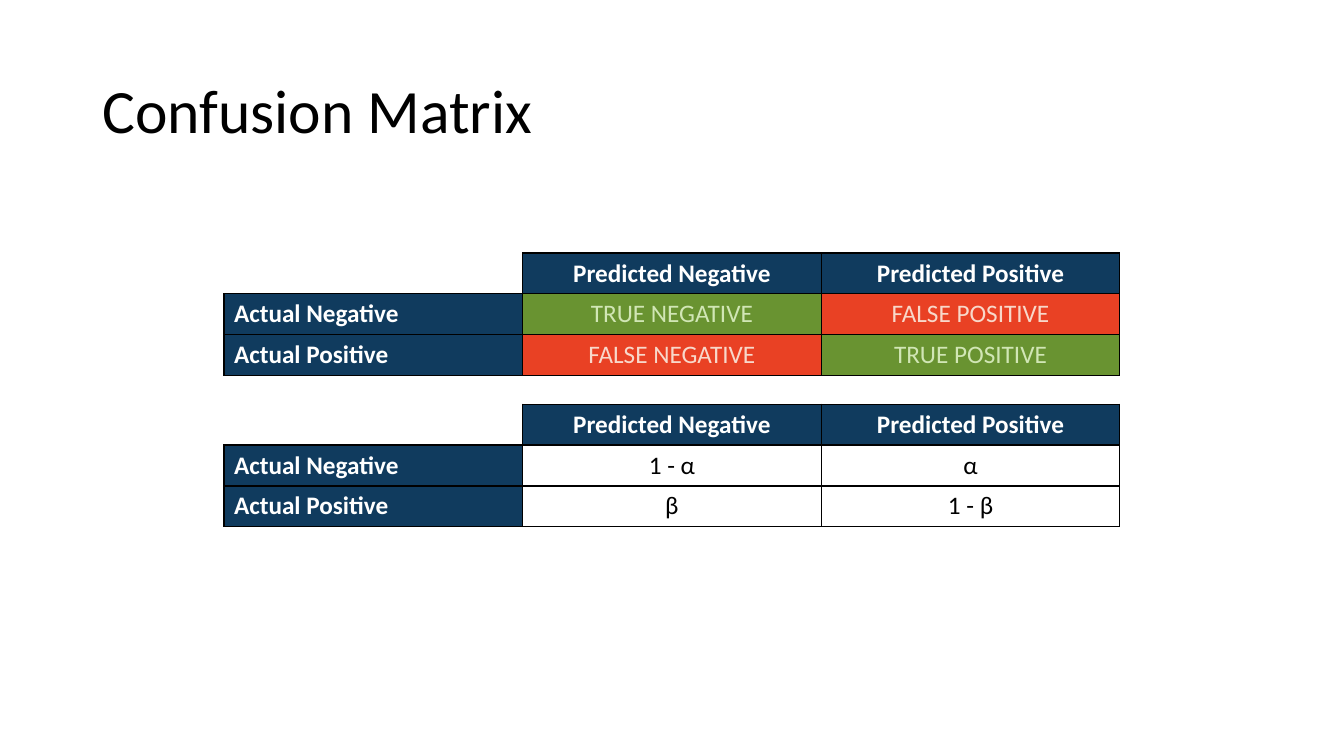
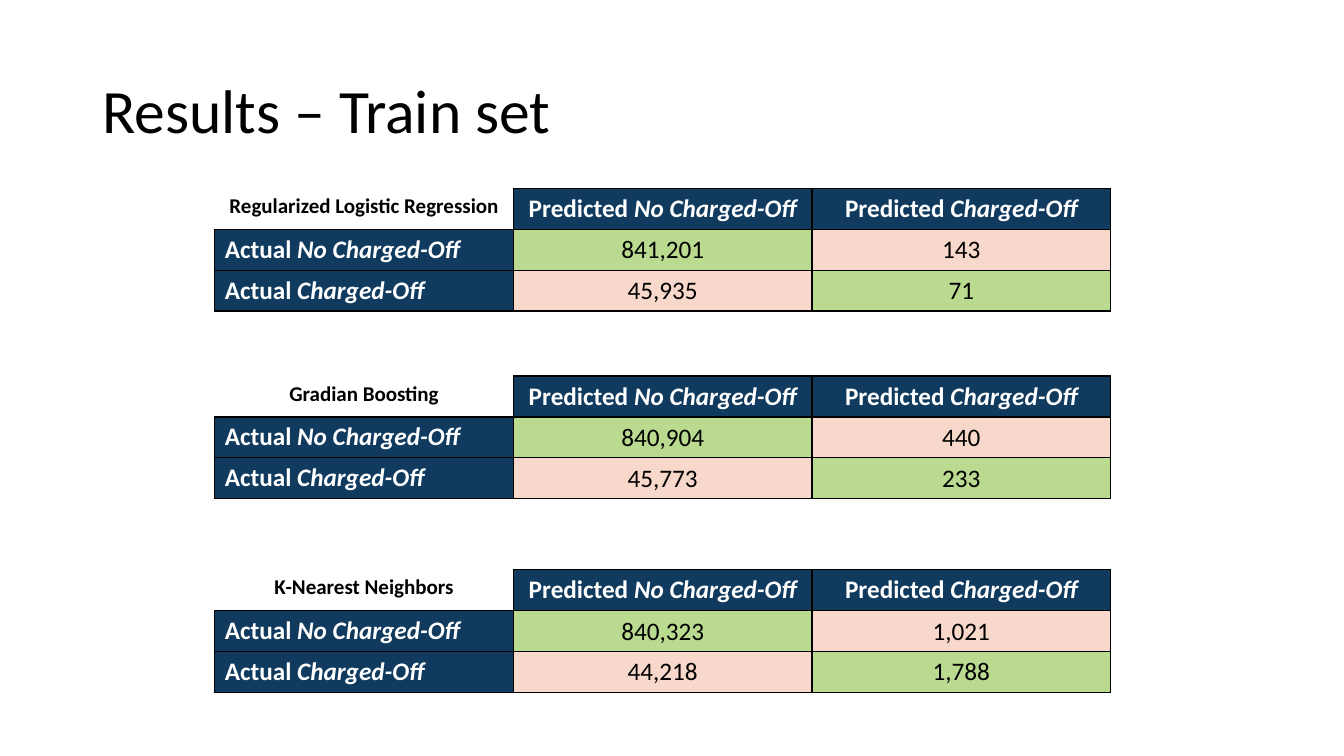
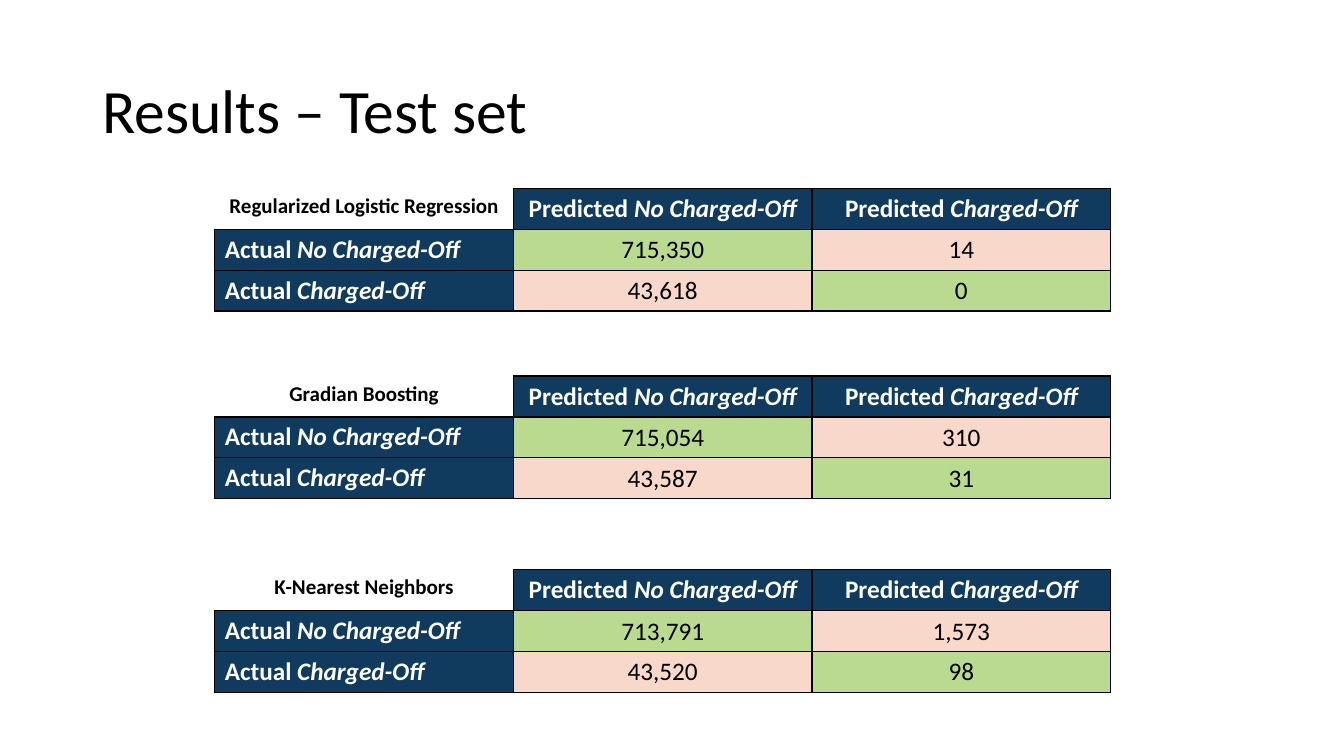
"""Build three slides of confusion matrices with python-pptx."""
import lxml.etree
import pptx
import pptx.dml.color
import pptx.enum.text
import pptx.oxml.ns
import pptx.util

Pt = pptx.util.Pt
RGBColor = pptx.dml.color.RGBColor
ANCHOR = pptx.enum.text.MSO_ANCHOR
ALIGN = pptx.enum.text.PP_ALIGN
qn = pptx.oxml.ns.qn

BLACK = RGBColor(0x00, 0x00, 0x00)
WHITE = RGBColor(0xFF, 0xFF, 0xFF)
NAVY = RGBColor(0x10, 0x3B, 0x5E)
GREEN = RGBColor(0x69, 0x93, 0x31)
RED = RGBColor(0xE9, 0x41, 0x24)
LIGHT_GREEN = RGBColor(0xB9, 0xDA, 0x8F)
PALE_GREEN = RGBColor(0xD1, 0xE6, 0xB5)
PALE_RED = RGBColor(0xF8, 0xD8, 0xCA)

COL_W = 213.33
ROW_H = 29.2
TITLE = {"size": Pt(44), "name": "Calibri"}
LABEL = {"size": Pt(18), "name": "Calibri", "bold": True}
MODEL = {**LABEL, "size": Pt(15)}
VALUE = {**LABEL, "bold": False}
TIGHT = {"margin_left": Pt(0.75), "margin_right": Pt(0.75), "margin_top": Pt(0.75),
         "margin_bottom": Pt(0), "vertical_anchor": ANCHOR.MIDDLE}

SIGNS = ["Negative", "Positive"]
LOANS = ["*No Charged-Off*", "*Charged-Off*"]
MODELS = ["Regularized Logistic Regression", "Gradian Boosting", "K-Nearest Neighbors"]
MODEL_TOPS = [134.6, 268.6, 406.8]

STRONG = {"fills": (GREEN, RED), "colors": (PALE_GREEN, PALE_RED), "box": {}}
PLAIN = {"fills": (None, None), "colors": (BLACK, BLACK), "box": {}}
SOFT = {"fills": (LIGHT_GREEN, PALE_RED), "colors": (BLACK, BLACK), "box": TIGHT}

TRAIN = [[["841,201", "143"], ["45,935", "71"]],
         [["840,904", "440"], ["45,773", "233"]],
         [["840,323", "1,021"], ["44,218", "1,788"]]]
TEST = [[["715,350", "14"], ["43,618", "0"]],
        [["715,054", "310"], ["43,587", "31"]],
        [["713,791", "1,573"], ["43,520", "98"]]]

SLIDES = [("Confusion Matrix", [
    (160, 180.7, "", SIGNS, [["TRUE NEGATIVE", "FALSE POSITIVE"],
                             ["FALSE NEGATIVE", "TRUE POSITIVE"]], STRONG),
    (160, 288.7, "", SIGNS, [["1 - α", "α"], ["β", "1 - β"]], PLAIN)])]
for title, results in [("Results – Train set", TRAIN), ("Results – Test set", TEST)]:
    SLIDES.append((title, [(153.4, top, model, LOANS, values, SOFT)
                           for top, model, values in zip(MODEL_TOPS, MODELS, results)]))


def write(p, text, fmt, color):
    """Add text to a paragraph, with parts between asterisks in italics."""
    for i, part in enumerate(text.split("*")):
        if part:
            r = p.add_run()
            r.text = part
            for key, val in {**fmt, "italic": i % 2 == 1}.items():
                setattr(r.font, key, val)
            r.font.color.rgb = color


def set_borders(cell, hidden):
    """Draw black cell borders, leaving out the hidden sides."""
    tcPr = cell._tc.get_or_add_tcPr()
    for side in "LRTB":
        ln = lxml.etree.SubElement(tcPr, qn("a:ln" + side), w=str(Pt(1)))
        if side in hidden:
            lxml.etree.SubElement(ln, qn("a:noFill"))
        else:
            fill = lxml.etree.SubElement(ln, qn("a:solidFill"))
            lxml.etree.SubElement(fill, qn("a:srgbClr"), val=str(BLACK))


prs = pptx.Presentation()
prs.slide_width, prs.slide_height = Pt(960), Pt(540)

for title, matrices in SLIDES:
    slide = prs.slides.add_slide(prs.slide_layouts[6])
    sp = slide.shapes.add_textbox(Pt(66), Pt(28.75), Pt(828), Pt(104.4))
    tf = sp.text_frame
    tf.word_wrap = True
    tf.vertical_anchor = ANCHOR.MIDDLE
    p = tf.paragraphs[0]
    p.line_spacing = 0.9
    write(p, title, TITLE, BLACK)

    for left, top, corner, classes, values, style in matrices:
        table = slide.shapes.add_table(3, 3, Pt(left), Pt(top),
                                       Pt(3 * COL_W), Pt(3 * ROW_H)).table
        table.first_row = table.horz_banding = False
        for col in table.columns:
            col.width = Pt(COL_W)
        for row in table.rows:
            row.height = Pt(ROW_H)

        grid = [[corner] + ["Predicted " + name for name in classes]]
        grid += [["Actual " + name] + row for name, row in zip(classes, values)]
        for i, row in enumerate(grid):
            for j, text in enumerate(row):
                cell = table.cell(i, j)
                fmt, color, fill, box = LABEL, WHITE, NAVY, {}
                if i == j == 0:
                    fmt, color, fill = MODEL, BLACK, None
                elif i and j:
                    wrong = int(i != j)
                    fmt, box = VALUE, style["box"]
                    color, fill = style["colors"][wrong], style["fills"][wrong]
                set_borders(cell, "LT" if i == j == 0 else "")
                if fill is None:
                    cell.fill.background()
                else:
                    cell.fill.solid()
                    cell.fill.fore_color.rgb = fill
                for key, val in box.items():
                    setattr(cell, key, val)
                p = cell.text_frame.paragraphs[0]
                p.alignment = ALIGN.LEFT if i and not j else ALIGN.CENTER
                write(p, text, fmt, color)

prs.save("out.pptx")
